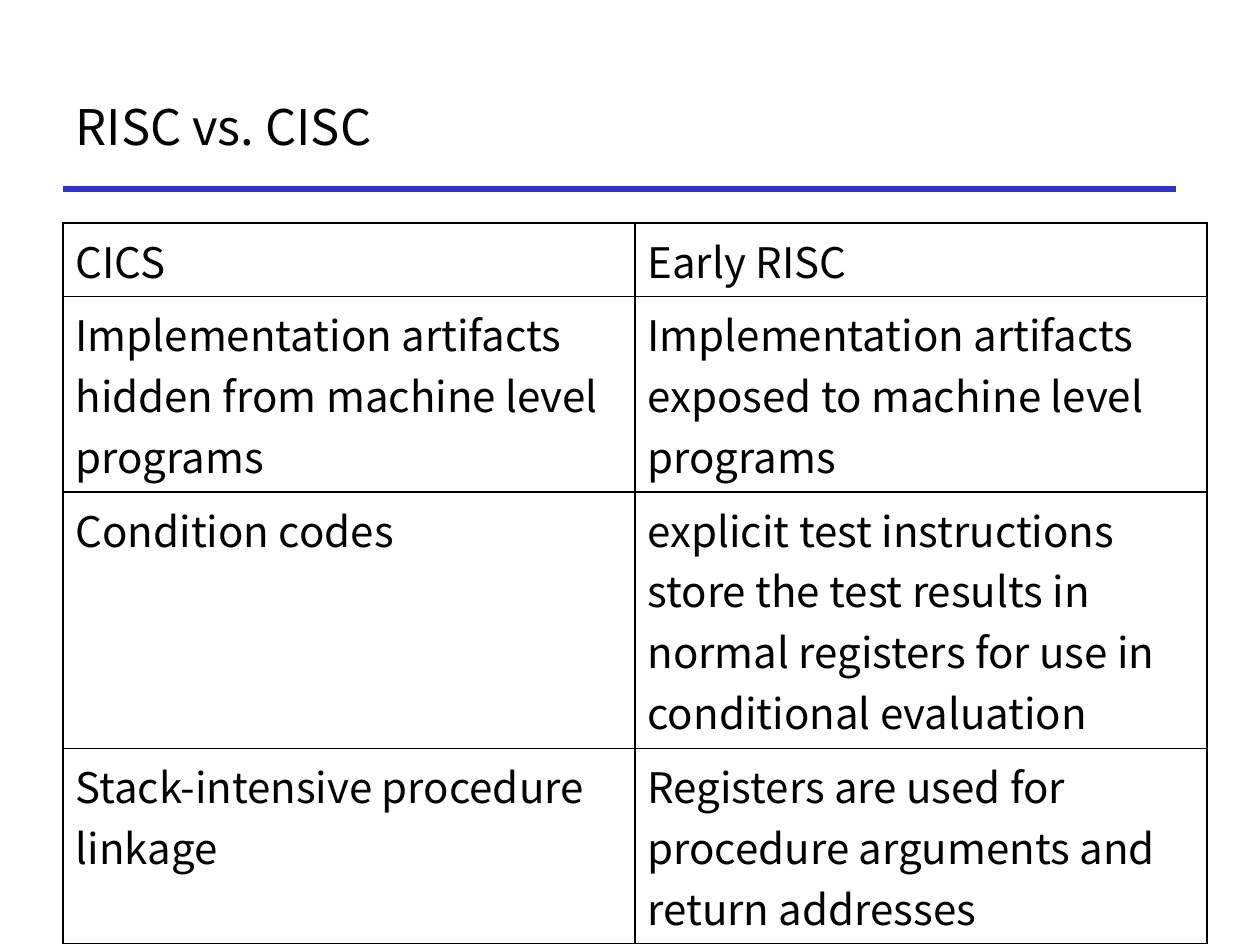
from dataclasses import dataclass

import pptx
import pptx.dml.color
import pptx.enum.shapes
import pptx.enum.text
import pptx.oxml
import pptx.oxml.ns
import pptx.presentation
import pptx.slide
import pptx.table
import pptx.text.text
import pptx.util
from pptx.dml.color import RGBColor
from pptx.util import Inches

BLACK = RGBColor(0x00, 0x00, 0x00)
WHITE = RGBColor(0xFF, 0xFF, 0xFF)
RULE_BLUE = RGBColor(0x33, 0x33, 0xCC)
FONT_NAME = "Noto Sans CJK KR"
LEFT = 0.5
COLUMN_WIDTH = 4.54
BORDER_SIDES = ("a:lnL", "a:lnR", "a:lnT", "a:lnB")


@dataclass(frozen=True)
class ComparisonRow:
    cisc: str
    risc: str
    height: float


ROWS = (
    ComparisonRow("CICS", "Early RISC", 0.5),
    ComparisonRow(
        "Implementation artifacts hidden from machine level programs",
        "Implementation artifacts exposed to machine level programs",
        1.3,
    ),
    ComparisonRow(
        "Condition codes",
        "explicit test instructions store the test results in normal registers "
        "for use in conditional evaluation",
        1.7,
    ),
    ComparisonRow(
        "Stack-intensive procedure linkage",
        "Registers are used for procedure arguments and return addresses",
        0.9,
    ),
)


def format_paragraph(paragraph: pptx.text.text._Paragraph, size: int) -> None:
    paragraph.alignment = pptx.enum.text.PP_ALIGN.LEFT
    paragraph.font.name = FONT_NAME
    paragraph.font.size = pptx.util.Pt(size)
    paragraph.font.color.rgb = BLACK


def add_title(slide: pptx.slide.Slide, text: str) -> None:
    title = slide.shapes.title
    title.left, title.top = Inches(LEFT), Inches(0.5)
    title.width, title.height = Inches(8.83), Inches(1)
    title.text_frame.text = text
    title.text_frame.vertical_anchor = pptx.enum.text.MSO_ANCHOR.MIDDLE
    format_paragraph(title.text_frame.paragraphs[0], 28)


def add_title_rule(slide: pptx.slide.Slide) -> None:
    rule = slide.shapes.add_connector(
        pptx.enum.shapes.MSO_CONNECTOR.STRAIGHT,
        Inches(LEFT), Inches(1.5), Inches(9.33), Inches(1.5),
    )
    rule.line.color.rgb = RULE_BLUE
    rule.line.width = pptx.util.Pt(3)
    properties = rule.element.spPr
    properties.append(pptx.oxml.parse_xml(
        f'<a:effectLst {pptx.oxml.ns.nsdecls("a")}/>'
    ))


def add_borders(cell: pptx.table._Cell) -> None:
    properties = cell._tc.get_or_add_tcPr()
    for position, side in enumerate(BORDER_SIDES):
        border = pptx.oxml.parse_xml(
            f'<{side} {pptx.oxml.ns.nsdecls("a")} w="{pptx.util.Pt(1)}">'
            f'<a:solidFill><a:srgbClr val="{BLACK}"/></a:solidFill></{side}>'
        )
        properties.insert(position, border)


def fill_cell(cell: pptx.table._Cell, text: str) -> None:
    cell.text = text
    cell.fill.solid()
    cell.fill.fore_color.rgb = WHITE
    format_paragraph(cell.text_frame.paragraphs[0], 24)
    add_borders(cell)


def add_comparison(slide: pptx.slide.Slide, rows: tuple[ComparisonRow, ...]) -> None:
    table = slide.shapes.add_table(
        len(rows), 2, Inches(LEFT), Inches(1.77), Inches(2 * COLUMN_WIDTH),
        Inches(sum(row.height for row in rows)),
    ).table
    table.first_row = False
    table.horz_banding = False
    for column in table.columns:
        column.width = Inches(COLUMN_WIDTH)
    for index, row in enumerate(rows):
        table.rows[index].height = Inches(row.height)
        fill_cell(table.cell(index, 0), row.cisc)
        fill_cell(table.cell(index, 1), row.risc)


def main() -> None:
    presentation = pptx.Presentation()
    presentation.slide_width, presentation.slide_height = Inches(10), Inches(7.5)
    slide = presentation.slides.add_slide(presentation.slide_layouts[5])
    add_title_rule(slide)
    add_title(slide, "RISC vs. CISC")
    add_comparison(slide, ROWS)
    presentation.save("out.pptx")


if __name__ == "__main__":
    main()
